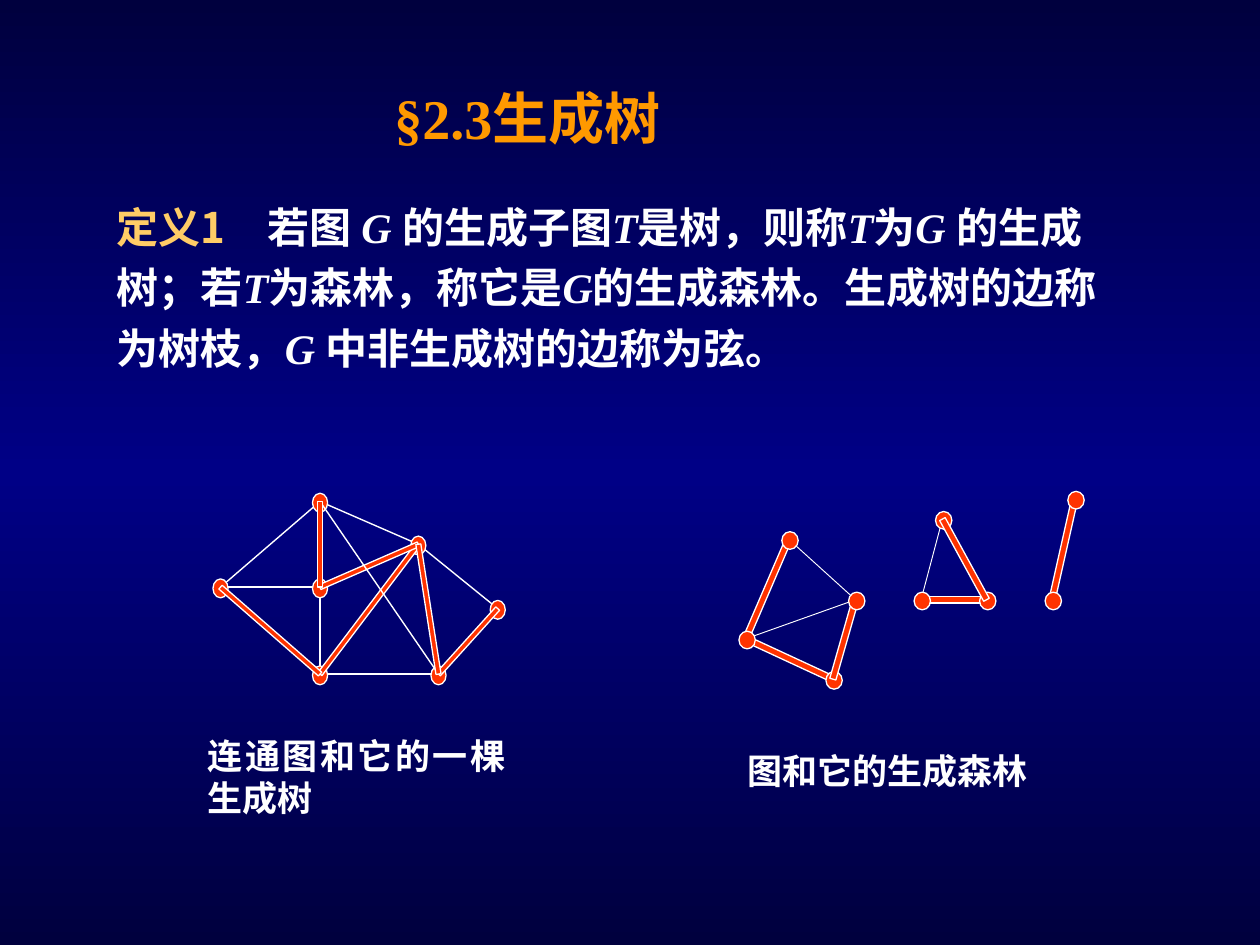
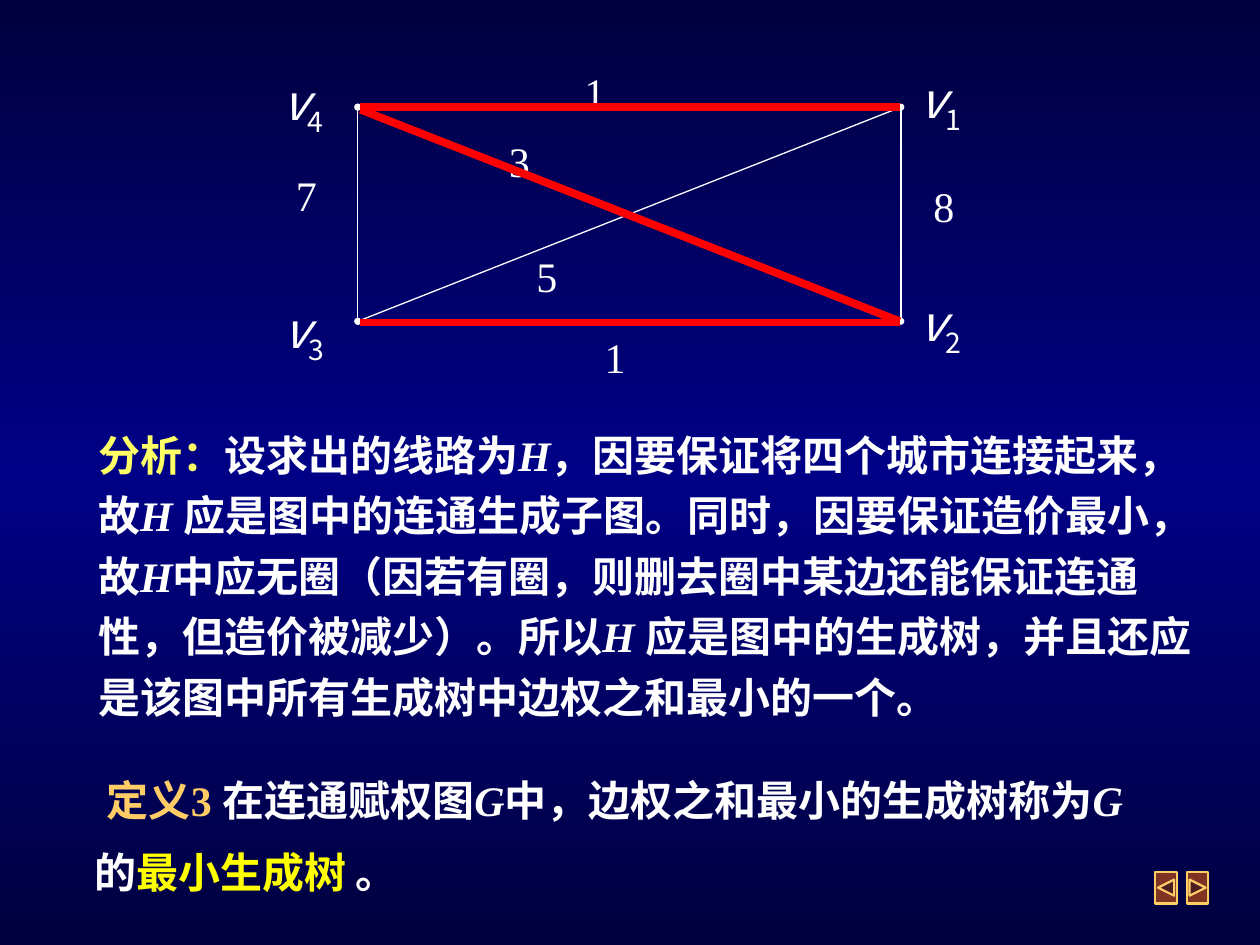
"""Two slides on spanning trees and the minimum spanning tree."""
import copy
import math

from lxml import etree
from pptx import Presentation
from pptx import util as u
from pptx.dml.color import RGBColor
from pptx.enum import shapes, text
from pptx.oxml.ns import qn

NIGHT = RGBColor(0x00, 0x00, 0x3E)
BLUE = RGBColor(0x00, 0x00, 0x86)
WHITE = RGBColor(0xFF, 0xFF, 0xFF)
ORANGE = RGBColor(0xFF, 0x99, 0x00)
GOLD = RGBColor(0xFF, 0xCC, 0x66)
LEMON = RGBColor(0xFF, 0xFF, 0x66)
YELLOW = RGBColor(0xFF, 0xFF, 0x00)
BRANCH = RGBColor(0xFF, 0x33, 0x00)
RED = RGBColor(0xFF, 0x00, 0x00)
BUTTON = RGBColor(0xFF, 0x66, 0x00)
SANS = "Noto Sans CJK SC"
SERIF = "Times New Roman"
SYMBOLS = {"G", "T", "H", "v"}

prs = Presentation()
prs.slide_width, prs.slide_height = u.Inches(10), u.Inches(7.5)
CELL = prs.slide_width // 10


def write(box, pieces, size, font=SERIF, bold=True, accents={}, spacing=1.0, margins=(0.1, 0.05), first=0):
    """Fill a box with runs split at bars, with graph symbols in italics."""
    frame = box.text_frame
    frame.word_wrap = True
    frame.auto_size = text.MSO_AUTO_SIZE.NONE
    frame.vertical_anchor = text.MSO_ANCHOR.TOP
    frame.margin_left = frame.margin_right = int(margins[0] * CELL)
    frame.margin_top = frame.margin_bottom = int(margins[1] * CELL)
    paragraph = frame.paragraphs[0]
    properties = paragraph._p.get_or_add_pPr()
    properties.set("indent", str(int(first * CELL)))
    properties.set("hangingPunct", "0")
    paragraph.alignment = text.PP_ALIGN.LEFT
    paragraph.line_spacing = spacing
    for piece in pieces.split("|"):
        run = paragraph.add_run()
        run.text = piece
        run.font.size = u.Pt(size)
        run.font.bold = bold
        run.font.italic = piece.strip() in SYMBOLS
        run.font.color.rgb = accents.get(piece, WHITE)
        run.font.name = font
        etree.SubElement(run._r.get_or_add_rPr(), qn("a:ea"), typeface=SANS)
    return paragraph


def link(slide, start, end, color=WHITE, width=0.75, ovals=False):
    """Draw a straight edge between two grid points."""
    ends = [int(value * CELL) for value in (*start, *end)]
    edge = slide.shapes.add_connector(shapes.MSO_CONNECTOR.STRAIGHT, *ends)
    edge.line.color.rgb = color
    edge.line.width = u.Pt(width)
    if ovals:
        for tip in ("a:headEnd", "a:tailEnd"):
            etree.SubElement(edge.line._get_or_add_ln(), qn(tip), type="oval", w="sm", len="sm")
    etree.SubElement(edge._element.spPr, qn("a:effectLst"))


backdrop = prs.slide_master.background.fill
backdrop.gradient()
backdrop.gradient_angle = 270
outer = backdrop.gradient_stops[0]
outer.color.rgb = NIGHT
outer.position = 0
outer._gs.addnext(copy.deepcopy(outer._gs))
for stop, color, position in zip(backdrop.gradient_stops, (NIGHT, BLUE, NIGHT), (0, 0.5, 1)):
    stop.color.rgb = color
    stop.position = position

trees = prs.slides.add_slide(prs.slide_layouts[5])
heading = trees.shapes.title
heading.left, heading.top, heading.width, heading.height = [int(v * CELL) for v in (3.03, 0.61, 4.25, 0.64)]
write(heading, "§2.3生成树", 32, accents={"§2.3生成树": ORANGE})

definition = trees.shapes.add_textbox(*[int(v * CELL) for v in (0.83, 1.47, 8.15, 1.54)])
statement = write(definition,
                  "定义1　|若图 |G |的生成子图|T|是树，则称|T|为|G |的生成树；若|T|为森林，称它是|G"
                  "|的生成森林。生成树的边称为树枝，|G |中非生成树的边称为弦。",
                  24, accents={"定义1　": GOLD}, spacing=1.2)
statement.runs[0].font.name = SANS

tree_points = {"A": (2.54, 3.98), "B": (1.75, 4.66), "C": (2.54, 4.66), "D": (3.32, 4.32),
               "E": (3.95, 4.83), "F": (2.54, 5.35), "G": (3.48, 5.35)}
forest_points = {"H": (6.26, 4.28), "I": (5.92, 5.07), "J": (6.61, 5.39), "K": (6.79, 4.76),
                 "L": (7.48, 4.12), "M": (7.31, 4.76), "N": (7.83, 4.76),
                 "O": (8.53, 3.96), "P": (8.35, 4.76)}
tree_steps = [("chord", "BC CF AB AD DE FG"), ("node", "A B C D E F G"),
              ("branch", "GE DF CD"), ("chord", "AG"), ("branch", "DG AC BF")]
forest_steps = [("branch", "HI IJ"), ("node", "J"), ("chord", "HK"), ("node", "H"),
                ("branch", "KJ"), ("chord", "IK"), ("node", "I K"), ("chord", "LM"),
                ("node", "L"), ("branch", "MN"), ("node", "M N"), ("branch", "LN OP"), ("node", "O P")]
graphs = [(tree_points, tree_steps, 0.79, 0.04, (0.12, 0.15), (0, 0.01)),
          (forest_points, forest_steps, 0.54, 0.05, (0.13, 0.14), (0.01, 0.01))]

for points, steps, chord_width, thickness, (node_w, node_h), (dx, dy) in graphs:
    for kind, names in steps:
        for name in names.split():
            (x1, y1), (x2, y2) = points[name[0]], points[name[-1]]
            if kind == "chord":
                link(trees, (x1, y1), (x2, y2), width=chord_width)
                continue
            if kind == "node":
                corner = (x1 + dx - node_w / 2, y1 + dy - node_h / 2, node_w, node_h)
                part = trees.shapes.add_shape(shapes.MSO_SHAPE.OVAL, *[int(v * CELL) for v in corner])
            else:
                length = math.hypot(x2 - x1, y2 - y1)
                nx = (y1 - y2) / length * thickness / 2
                ny = (x2 - x1) / length * thickness / 2
                outline = [(int(x * CELL), int(y * CELL)) for x, y in (
                    (x1 + nx, y1 + ny), (x2 + nx, y2 + ny), (x2 - nx, y2 - ny), (x1 - nx, y1 - ny))]
                builder = trees.shapes.build_freeform(*outline[0])
                builder.add_line_segments(outline[1:], close=True)
                part = builder.convert_to_shape()
            part.shadow.inherit = False
            part.fill.solid()
            part.fill.fore_color.rgb = BRANCH
            part.line.color.rgb = WHITE
            part.line.width = u.Pt(0.75)

for caption, place in (("图和它的生成森林", (5.93, 5.95, 3.09, 0.45)),
                       ("连通图和它的一棵生成树", (1.65, 5.83, 2.36, 0.63))):
    label = trees.shapes.add_textbox(*[int(v * CELL) for v in place])
    write(label, caption, 20, SANS, margins=(0, 0)).alignment = text.PP_ALIGN.JUSTIFY

minimum = prs.slides.add_slide(prs.slide_layouts[6])
analysis = minimum.shapes.add_textbox(*[int(v * CELL) for v in (0.68, 3.28, 8.92, 2.5)])
write(analysis,
      "分析：|设求出的线路为|H|，因要保证将四个城市连接起来，故|H |应是图中的连通生成子图。"
      "同时，因要保证造价最小，故|H|中应无圈（因若有圈，则删去圈中某边还能保证连通性，"
      "但造价被减少）。所以|H |应是图中的生成树，并且还应是该图中所有生成树中边权之和最小的一个。",
      24, accents={"分析：": LEMON}, spacing=1.2)

west, east, north, south = 2.84, 7.15, 0.85, 2.55
v1, v2, v3, v4 = (east, north), (east, south), (west, south), (west, north)
for start, end, ovals in ((v3, v2, True), (v4, v1, True), (v3, v4, True),
                          (v1, v3, False), (v1, v2, False), (v4, v2, False)):
    link(minimum, start, end, ovals=ovals)

for index, x, y in (("1", 7.2, 0.5), ("4", 2.14, 0.52), ("3", 2.15, 2.33), ("2", 7.2, 2.27)):
    city = minimum.shapes.add_textbox(*[int(v * CELL) for v in (x, y, 0.65, 0.63)])
    subscript = write(city, "v|" + index, 28, SANS, bold=False).runs[1]
    subscript._r.get_or_add_rPr().set("baseline", "-25000")

for cost, x, y in (("1", 4.54, 0.48), ("3", 3.94, 1.03), ("5", 4.16, 1.94),
                   ("1", 4.7, 2.58), ("8", 7.31, 1.38), ("7", 2.25, 1.3)):
    weight = minimum.shapes.add_textbox(*[int(v * CELL) for v in (x, y, 0.44, 0.5)])
    write(weight, cost, 24, bold=False)

for start_y, end_y in ((0.85, 0.85), (0.87, 2.55), (2.56, 2.56)):
    link(minimum, (2.86, start_y), (7.14, end_y), RED, 4.5)

for x, direction in ((9.17, shapes.MSO_SHAPE.ACTION_BUTTON_BACK_OR_PREVIOUS),
                     (9.42, shapes.MSO_SHAPE.ACTION_BUTTON_FORWARD_OR_NEXT)):
    button = minimum.shapes.add_shape(direction, *[int(v * CELL) for v in (x, 6.92, 0.17, 0.25)])
    button.shadow.inherit = False
    button.fill.solid()
    button.fill.fore_color.rgb = BUTTON
    tint = button._element.spPr.find(qn("a:solidFill")).find(qn("a:srgbClr"))
    etree.SubElement(tint, qn("a:alpha"), val="50000")
    button.line.color.rgb = GOLD
    button.line.width = u.Pt(1.25)

conclusion = minimum.shapes.add_textbox(*[int(v * CELL) for v in (0.65, 5.93, 8.64, 1.24)])
write(conclusion,
      "定义3 |在连通赋权图|G|中，边权之和最小的生成树称为|G |的|最小生成树| 。",
      24, accents={"定义3 ": GOLD, "最小生成树": YELLOW}, spacing=1.43, first=0.1)

prs.save("out.pptx")
